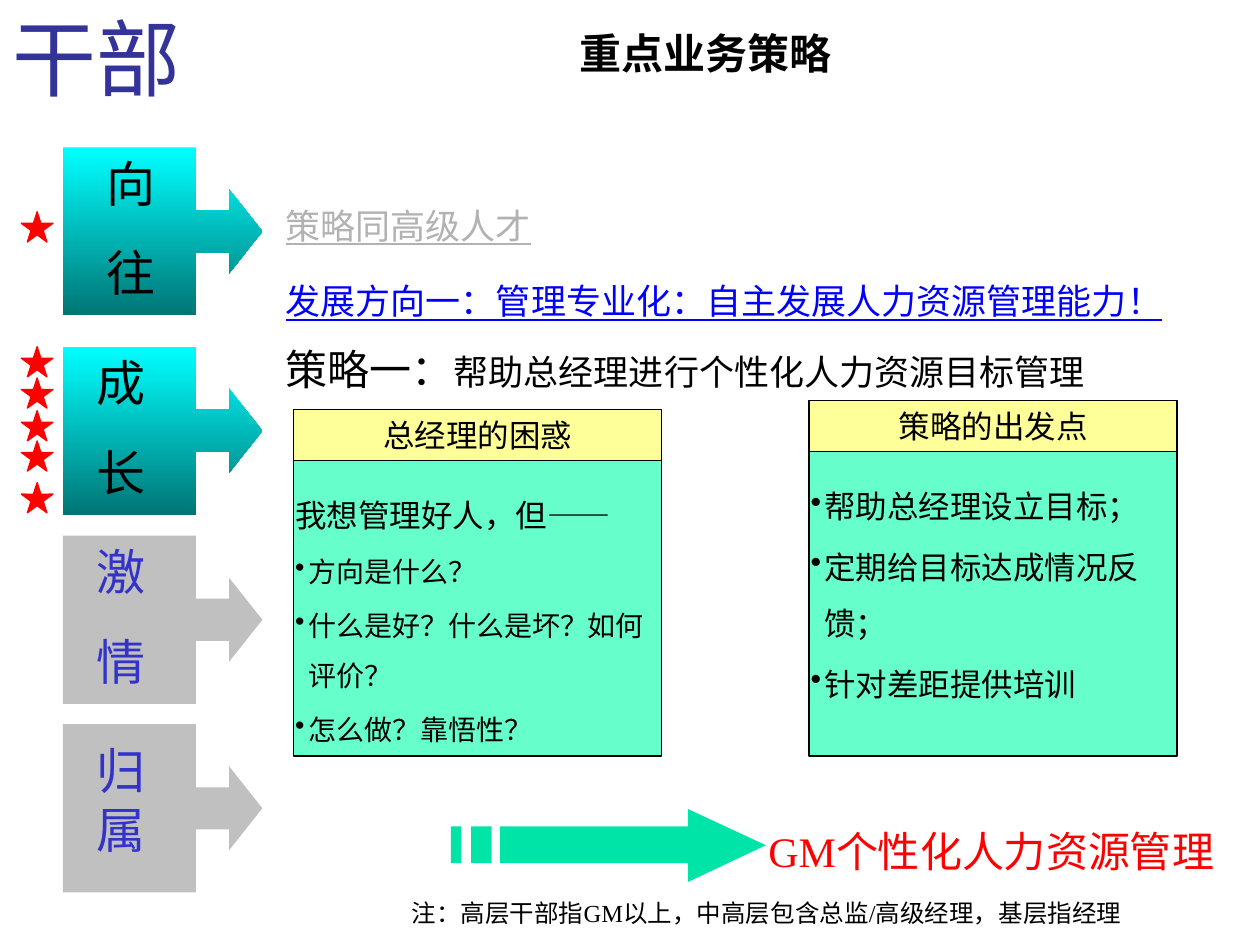
import pptx
import pptx.util
import pptx.dml.color
import pptx.enum.shapes
import pptx.enum.text
import pptx.oxml
from dataclasses import dataclass

Cm = pptx.util.Cm
Pt = pptx.util.Pt
SHAPE = pptx.enum.shapes.MSO_SHAPE
ANCHOR = pptx.enum.text.MSO_ANCHOR
ALIGN = pptx.enum.text.PP_ALIGN
AUTOSIZE = pptx.enum.text.MSO_AUTO_SIZE


@dataclass(frozen=True)
class Theme:
    font: str = "Times New Roman"
    title_font: str = "Lato"
    black: str = "000000"
    title: str = "333399"
    muted_label: str = "3333CC"
    muted_text: str = "B2B2B2"
    link: str = "0000FF"
    red: str = "FF0000"
    gradient: tuple = ("00FFFF", "007575")
    grey: str = "C0C0C0"
    panel: str = "66FFCC"
    heading: str = "FFFF99"
    result: str = "00E4A8"
    title_size: int = 48
    label_size: int = 28
    large: int = 24
    lead: int = 20
    body: int = 18
    detail: int = 16
    note: int = 14


THEME = Theme()


def rgb(value):
    return pptx.dml.color.RGBColor.from_string(value)


def box(*lengths):
    return [Cm(length) for length in lengths]


def apply(target, values):
    for name, value in values.items():
        setattr(target, name, value)


def add_bullet(paragraph):
    properties = paragraph._p.get_or_add_pPr()
    ns = pptx.oxml.ns.nsdecls("a")
    for xml in (f'<a:buClr {ns}><a:srgbClr val="{THEME.black}"/></a:buClr>',
                f'<a:buChar {ns} char="•"/>'):
        properties.append(pptx.oxml.parse_xml(xml))


def hang(paragraph):
    properties = paragraph._p.get_or_add_pPr()
    properties.set("marL", str(Cm(0.28)))
    properties.set("indent", str(-Cm(0.28)))


def para(*runs, bullet=False, hanging=False, **layout):
    """Describe a paragraph; each run is (text, size, colour, extra font values)."""
    return {"runs": runs, "bullet": bullet, "hanging": hanging, "layout": layout}


def run(text, size, color=THEME.black, **font):
    return text, size, color, font


def write(frame, paragraphs, **values):
    apply(frame, {"word_wrap": True, "auto_size": AUTOSIZE.SHAPE_TO_FIT_TEXT,
                  "vertical_anchor": ANCHOR.TOP} | values)
    for index, item in enumerate(paragraphs):
        paragraph = frame.add_paragraph() if index else frame.paragraphs[0]
        if item["hanging"]:
            hang(paragraph)
        if item["bullet"]:
            add_bullet(paragraph)
        layout = {"alignment": ALIGN.LEFT} | item["layout"]
        if not index:
            layout["space_before"] = Pt(0)
        apply(paragraph, layout)
        for text, size, color, font in item["runs"]:
            piece = paragraph.add_run()
            piece.text = text
            apply(piece.font, {"name": THEME.font, "size": Pt(size)} | font)
            piece.font.color.rgb = rgb(color)


def add_text(slide, place, *paragraphs, **values):
    write(slide.shapes.add_textbox(*box(*place)).text_frame, paragraphs, **values)


def paint(shape, fill, line=None):
    shape.shadow.inherit = False
    if isinstance(fill, tuple):
        shape.fill.gradient()
        shape.fill.gradient_angle = 270
        for stop, color, position in zip(shape.fill.gradient_stops, fill, (0, 1)):
            stop.color.rgb = rgb(color)
            stop.position = position
    else:
        shape.fill.solid()
        shape.fill.fore_color.rgb = rgb(fill)
    if line:
        shape.line.color.rgb = rgb(line)
        shape.line.width = Pt(0.75)
    else:
        shape.line.fill.background()


def add_figure(slide, kind, place, fill, line=None):
    figure = slide.shapes.add_shape(kind, *box(*place))
    paint(figure, fill, line)
    return figure


def add_stage(slide, top, fill):
    stage = add_figure(slide, SHAPE.RIGHT_ARROW_CALLOUT, (1.27, top, 4.02, 3.39), fill)
    for index, value in enumerate((0.25, 0.25, 0.198, 0.667)):
        stage.adjustments[index] = value


def add_panel(slide, left, top, heading, text_width, paragraphs):
    width, heading_height, bottom = 7.42, 1.02, 15.24
    body_top = top + heading_height
    add_figure(slide, SHAPE.RECTANGLE, (left, body_top, width, bottom - body_top),
               THEME.panel, THEME.black)
    add_text(slide, (left - 0.22, body_top + 0.22, text_width, 6.2), *paragraphs)
    header = add_figure(slide, SHAPE.RECTANGLE, (left, top, width, heading_height),
                        THEME.heading, THEME.black)
    write(header.text_frame, [para(run(heading, THEME.body), alignment=ALIGN.CENTER)],
          vertical_anchor=ANCHOR.MIDDLE)


def add_result_arrow(slide):
    # Points are in hundredths of a centimetre
    top, bottom = 1666, 1740
    stripes = [[(a, top), (b, top), (b, bottom), (a, bottom)]
               for a, b in ((909, 930), (950, 991))]
    shaft = [(1008, top), (1387, top), (1387, 1631), (1544, 1704),
             (1387, 1778), (1387, bottom), (1008, bottom)]
    builder = slide.shapes.build_freeform(*shaft[0], scale=Cm(0.01))
    builder.add_line_segments(shaft[1:], close=True)
    for stripe in stripes:
        builder.move_to(*stripe[0])
        builder.add_line_segments(stripe[1:], close=True)
    paint(builder.convert_to_shape(), THEME.result)


def main():
    deck = pptx.Presentation()
    apply(deck, {"slide_width": Cm(25.4), "slide_height": Cm(19.05)})
    slide = deck.slides.add_slide(deck.slide_layouts[5])

    # Title and subject
    title = slide.shapes.title
    apply(title, dict(zip(("left", "top", "width", "height"), box(0, 0, 24.64, 1.55))))
    write(title.text_frame, [para(run("干部", THEME.title_size, THEME.title,
                                      name=THEME.title_font))], auto_size=AUTOSIZE.NONE)
    add_text(slide, (11.43, 0, 17.15, 2.11),
             para(run("重点业务策略", THEME.large, bold=True)),
             auto_size=AUTOSIZE.NONE, vertical_anchor=ANCHOR.MIDDLE)

    # Four stages with their labels
    stages = [(2.97, THEME.gradient, THEME.black, 1.9, 2.97, ("向", "往")),
              (6.99, THEME.gradient, THEME.black, 1.7, 6.99, ("成", "长")),
              (10.8, THEME.grey, THEME.muted_label, 1.7, 10.8, ("激", "情")),
              (14.6, THEME.grey, THEME.muted_label, 1.7, 14.81, ("归属",))]
    for top, fill, color, label_left, label_top, lines in stages:
        add_stage(slide, top, fill)
        add_text(slide, (label_left, label_top, 1.9, 3.25),
                 *[para(run(line, THEME.label_size, color), space_before=Pt(17.5))
                   for line in lines])

    # Priority stars
    for top in (4.27, 6.99, 7.62, 8.28, 8.89, 9.73):
        add_figure(slide, SHAPE.STAR_5_POINT, (0.43, top, 0.64, 0.61), THEME.red, THEME.red)

    # Directions and strategy
    add_text(slide, (5.51, 3.99, 18.21, 1.12),
             para(run("策略同高级人才", THEME.lead, THEME.muted_text, underline=True),
                  hanging=True))
    add_text(slide, (5.51, 5.51, 19.69, 3.86),
             para(run("发展方向一：管理专业化：自主发展人力资源管理能力！",
                      THEME.lead, THEME.link, underline=True), hanging=True),
             para(run("策略一：", THEME.large),
                  run("帮助总经理进行个性化人力资源目标管理", THEME.lead),
                  hanging=True, space_before=Pt(12.5)))

    # Concerns and starting points
    spaced = {"hanging": True, "line_spacing": 1.5, "space_before": Pt(2)}
    concerns = [para(run("我想管理好人，但——", THEME.body), **spaced)]
    concerns += [para(run(text, THEME.detail), bullet=True, **spaced)
                 for text in ("方向是什么？", "什么是好？什么是坏？如何评价？", "怎么做？靠悟性？")]
    aims = [para(run(text, THEME.body), bullet=True, **spaced)
            for text in ("帮助总经理设立目标；", "定期给目标达成情况反馈；", "针对差距提供培训")]
    add_panel(slide, 5.92, 8.26, "总经理的困惑", 7.82, concerns)
    add_panel(slide, 16.31, 8.08, "策略的出发点", 7.62, aims)

    # Result and footnote
    add_result_arrow(slide)
    add_text(slide, (15.24, 16.51, 9.73, 1.27),
             para(run("GM个性化人力资源管理", THEME.large, THEME.red)))
    add_text(slide, (8.05, 17.98, 16.08, 0.86),
             para(run("注：高层干部指GM以上，中高层包含总监/高级经理，基层指经理", THEME.note)))

    deck.save("out.pptx")


if __name__ == "__main__":
    main()
